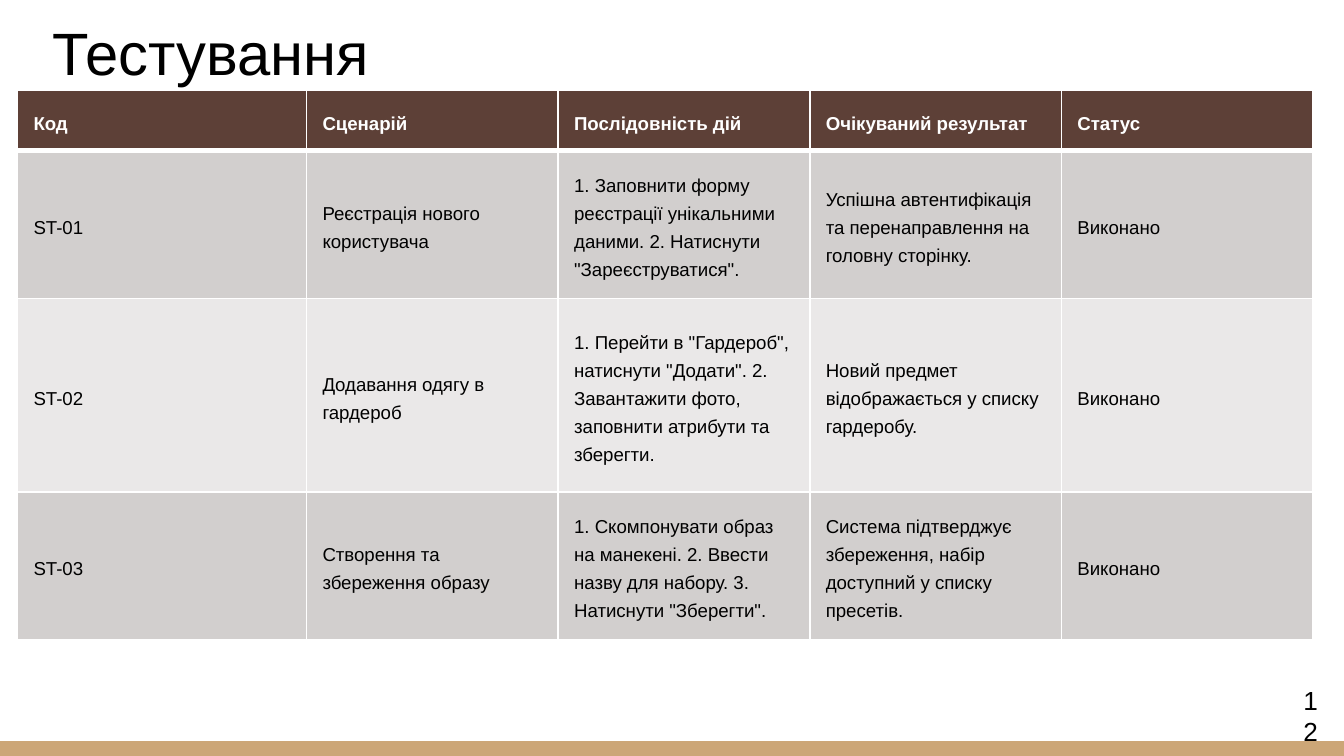
from lxml import etree
from pptx import Presentation
from pptx import util as u
from pptx.dml.color import RGBColor
from pptx.enum import shapes, text
from pptx.oxml.ns import qn

WHITE = RGBColor(0xFF, 0xFF, 0xFF)
BLACK = RGBColor(0, 0, 0)
TAN = RGBColor(0xCC, 0xA6, 0x77)
BROWN = RGBColor(0x5D, 0x40, 0x37)
BANDS = RGBColor(0xD2, 0xCF, 0xCE), RGBColor(0xEA, 0xE8, 0xE8)
FONT = "Arial"
WIDTH = 10
HEIGHT = WIDTH * 9 / 16
CODE_WIDTH = 2.15
ROWS = [0.45, 1.1, 1.44, 1.1]
TESTS = [
    ["Код", "Сценарій", "Послідовність дій", "Очікуваний результат", "Статус"],
    ["ST-01", "Реєстрація нового користувача",
     '1. Заповнити форму реєстрації унікальними даними. 2. Натиснути "Зареєструватися".',
     "Успішна автентифікація та перенаправлення на головну сторінку.", "Виконано"],
    ["ST-02", "Додавання одягу в гардероб",
     '1. Перейти в "Гардероб", натиснути "Додати". 2. Завантажити фото, заповнити атрибути та зберегти.',
     "Новий предмет відображається у списку гардеробу.", "Виконано"],
    ["ST-03", "Створення та збереження образу",
     '1. Скомпонувати образ на манекені. 2. Ввести назву для набору. 3. Натиснути "Зберегти".',
     "Система підтверджує збереження, набір доступний у списку пресетів.", "Виконано"],
]


def inches(*box):
    """Convert a box in inches to lengths."""
    return [u.Inches(v) for v in box]


def style(p, size, color=BLACK, bold=False):
    """Format a left-aligned paragraph."""
    p.alignment = text.PP_ALIGN.LEFT
    p.font.name, p.font.size, p.font.bold = FONT, u.Pt(size), bold
    p.font.color.rgb = color


def add_title(s, box, words):
    """Place and format the title placeholder."""
    sp = s.shapes.title
    sp.left, sp.top, sp.width, sp.height = inches(*box)
    tf = sp.text_frame
    tf.text = words
    tf.auto_size = text.MSO_AUTO_SIZE.NONE
    tf.vertical_anchor = text.MSO_ANCHOR.BOTTOM
    tf.margin_left = tf.margin_right = tf.margin_top = tf.margin_bottom = u.Inches(0.1)
    style(tf.paragraphs[0], 32)


def add_footer_bar(s, box):
    """Draw the coloured strip along the bottom edge."""
    sp = s.shapes.add_shape(shapes.MSO_SHAPE.RECTANGLE, *inches(*box))
    sp.shadow.inherit = False
    sp.fill.solid()
    sp.fill.fore_color.rgb = TAN
    sp.line.fill.background()


def add_page_number(s, box, number):
    """Write the page number in its narrow box."""
    tf = s.shapes.add_textbox(*inches(*box)).text_frame
    tf.word_wrap = True
    tf.text = number
    style(tf.paragraphs[0], 14)


def set_borders(cell, bottom):
    """Give a cell white borders, with its own bottom width in points."""
    tc_pr = cell._tc.get_or_add_tcPr()
    for i, (side, width) in enumerate(zip("LRTB", (1, 1, 1, bottom))):
        ln = etree.Element(qn(f"a:ln{side}"), w=str(u.Pt(width)))
        fill = etree.SubElement(ln, qn("a:solidFill"))
        etree.SubElement(fill, qn("a:srgbClr"), val=str(WHITE))
        tc_pr.insert(i, ln)


def fill_cell(cell, words, header, fill):
    """Write and format one table cell."""
    cell.text = words
    cell.vertical_anchor = text.MSO_ANCHOR.MIDDLE
    cell.margin_left = cell.margin_right = u.Inches(0.12)
    cell.margin_top = cell.margin_bottom = u.Inches(0.06)
    cell.fill.solid()
    cell.fill.fore_color.rgb = fill
    p = cell.text_frame.paragraphs[0]
    p.line_spacing = u.Pt(15)
    style(p, 10, WHITE if header else BLACK, header)
    set_borders(cell, 3 if header else 1)


def add_tests_table(s, left, top, width):
    """Build the table of test scenarios."""
    count = len(TESTS[0])
    box = inches(left, top, width, sum(ROWS))
    table = s.shapes.add_table(len(ROWS), count, *box).table
    rest = (width - CODE_WIDTH) / (count - 1)
    for i, column in enumerate(table.columns):
        column.width = u.Inches(rest if i else CODE_WIDTH)
    for i, (row, height) in enumerate(zip(table.rows, ROWS)):
        row.height = u.Inches(height)
        fill = BANDS[(i - 1) % 2] if i else BROWN
        for cell, words in zip(row.cells, TESTS[i]):
            fill_cell(cell, words, i == 0, fill)


def main():
    """Build and save the slide."""
    prs = Presentation()
    prs.slide_width, prs.slide_height = inches(WIDTH, HEIGHT)
    s = prs.slides.add_slide(prs.slide_layouts[5])
    add_footer_bar(s, (0, HEIGHT - 0.11, WIDTH, 0.11))
    add_title(s, (0.29, -0.16, 9.32, 0.91), "Тестування")
    add_page_number(s, (0.96 * WIDTH, 5.04, 0.31, 0.34), "12")
    add_tests_table(s, 0.13, 0.67, 9.64)
    prs.save("out.pptx")


if __name__ == "__main__":
    main()
